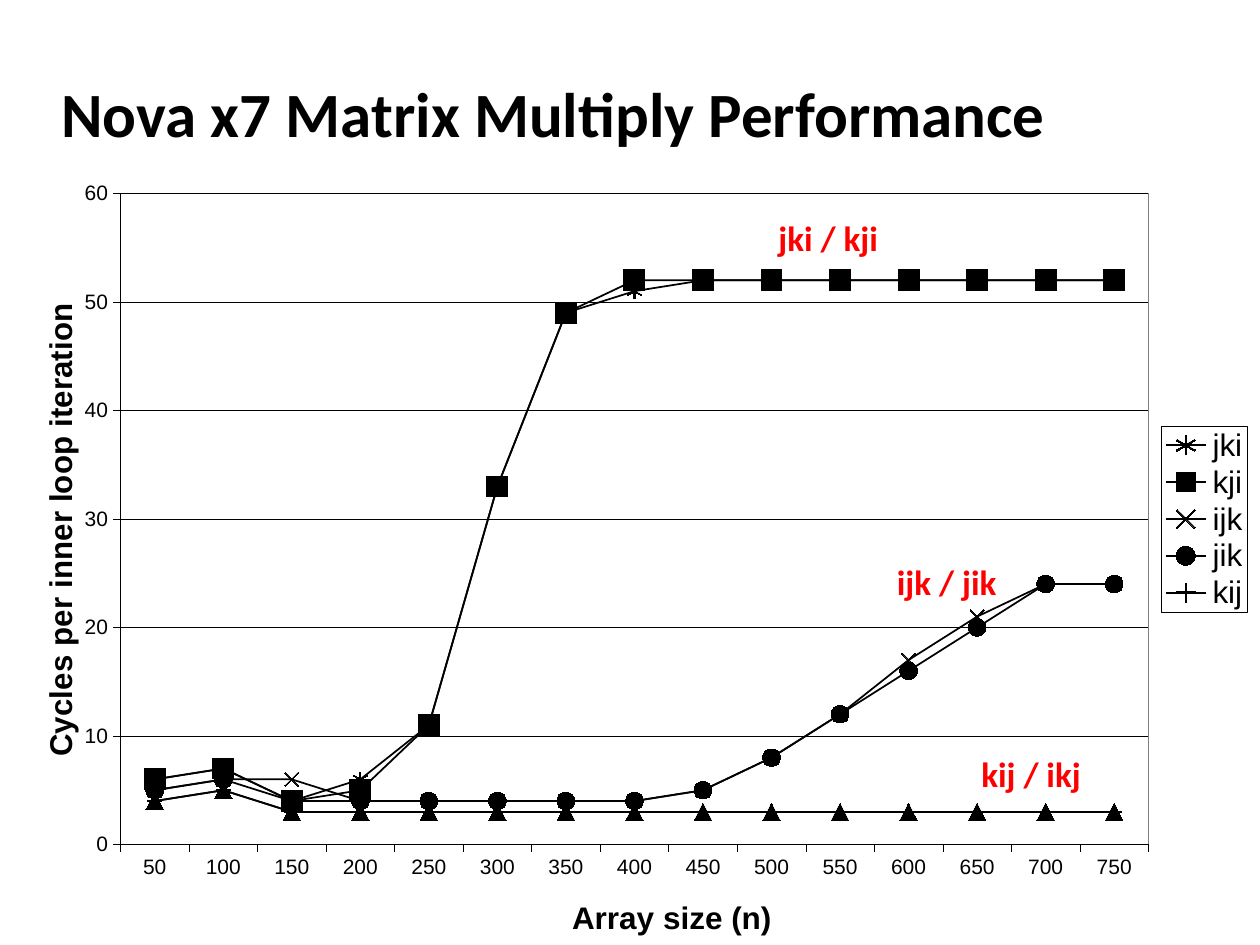
from dataclasses import dataclass

from lxml.etree import SubElement
from pptx import Presentation
from pptx.chart.data import CategoryChartData
from pptx.dml.color import RGBColor
from pptx.enum.chart import XL_CHART_TYPE as ChartType
from pptx.enum.chart import XL_LEGEND_POSITION as LegendPosition
from pptx.enum.chart import XL_MARKER_STYLE as Marker
from pptx.enum.chart import XL_TICK_MARK as TickMark
from pptx.enum.text import MSO_ANCHOR as Anchor
from pptx.enum.text import MSO_AUTO_SIZE as AutoSize
from pptx.oxml import parse_xml
from pptx.oxml.ns import nsdecls, qn
from pptx.util import Inches, Pt


@dataclass(frozen=True)
class Theme:
    ink: RGBColor = RGBColor(0, 0, 0)
    accent: RGBColor = RGBColor(0xFF, 0, 0)
    paper: str = "FFFFFF"
    frame: str = "808080"
    text_font: str = "Calibri"
    chart_font: str = "Arial"
    title_size: int = 36
    label_size: int = 20
    caption_size: int = 18
    tick_size: int = 12
    hairline: float = 0.25
    curve: float = 1


@dataclass(frozen=True)
class LoopOrder:
    name: str
    cycles: tuple[int, ...]
    marker: Marker
    marker_size: int


@dataclass(frozen=True)
class CurveLabel:
    text: str
    left: float
    top: float
    width: float


THEME = Theme()
ARRAY_SIZES = range(50, 751, 50)
ROW_WISE = (4, 5) + (3,) * 13
LOOP_ORDERS = (
    LoopOrder("jki", (6, 7, 4, 6, 11, 33, 49, 51) + (52,) * 7, Marker.STAR, 8),
    LoopOrder("kji", (6, 7, 4, 5, 11, 33, 49) + (52,) * 8, Marker.SQUARE, 12),
    LoopOrder("ijk", (5, 6, 6, 4, 4, 4, 4, 4, 5, 8, 12, 17, 21, 24, 24), Marker.X, 8),
    LoopOrder("jik", (5, 6, 4, 4, 4, 4, 4, 4, 5, 8, 12, 16, 20, 24, 24), Marker.CIRCLE, 10),
    LoopOrder("kij", ROW_WISE, Marker.PLUS, 8),
    LoopOrder("ikj", ROW_WISE, Marker.TRIANGLE, 10),
)
CURVE_LABELS = (
    CurveLabel("jki / kji", 6.08, 1.67, 1.01),
    CurveLabel("ijk / jik", 7.02, 4.4, 1),
    CurveLabel("kij / ikj", 7.69, 5.92, 1),
)


def add_text(slide, text: str, *, left: float, top: float, width: float, height: float,
             size: int, color: RGBColor, wrap: bool, anchor: Anchor = Anchor.TOP) -> None:
    box = slide.shapes.add_textbox(Inches(left), Inches(top), Inches(width), Inches(height))
    frame = box.text_frame
    frame.word_wrap = wrap
    frame.auto_size = AutoSize.NONE if wrap else AutoSize.SHAPE_TO_FIT_TEXT
    frame.vertical_anchor = anchor
    run = frame.paragraphs[0].add_run()
    run.text = text
    style_font(run.font, size, THEME.text_font, color, True)


def style_font(font, size: int, name: str = THEME.chart_font,
               color: RGBColor = THEME.ink, bold: bool = False) -> None:
    font.size = Pt(size)
    font.name = name
    font.bold = bold
    font.color.rgb = color


def style_line(line, width: float) -> None:
    line.color.rgb = THEME.ink
    line.width = Pt(width)


def place(element, index: int, x: float, y: float, **extent: float) -> None:
    for old in element.findall(qn("c:layout")):
        element.remove(old)
    layout = parse_xml(f"<c:layout {nsdecls('c')}/>")
    manual = SubElement(layout, qn("c:manualLayout"))
    if "w" in extent and element.tag == qn("c:plotArea"):
        SubElement(manual, qn("c:layoutTarget"), val="inner")
    for mode in ("xMode", "yMode"):
        SubElement(manual, qn(f"c:{mode}"), val="edge")
    for side, share in {"x": x, "y": y, **extent}.items():
        SubElement(manual, qn(f"c:{side}"), val=str(share))
    element.insert(index, layout)


def framed(color: str) -> object:
    return parse_xml(
        f"<c:spPr {nsdecls('c', 'a')}>"
        f'<a:solidFill><a:srgbClr val="{THEME.paper}"/></a:solidFill>'
        f'<a:ln w="{Pt(THEME.hairline)}"><a:solidFill><a:srgbClr val="{color}"/>'
        "</a:solidFill></a:ln></c:spPr>"
    )


def style_axis(axis, title: str, x: float, y: float) -> None:
    axis.major_tick_mark = TickMark.OUTSIDE
    axis.minor_tick_mark = TickMark.NONE
    style_font(axis.tick_labels.font, THEME.tick_size)
    style_line(axis.format.line, THEME.hairline)
    caption = axis.axis_title.text_frame.paragraphs[0].add_run()
    caption.text = title
    style_font(caption.font, THEME.caption_size, bold=True)
    place(axis.axis_title._element, 1, x, y)


def style_legend(chart) -> None:
    chart.has_legend = True
    legend = chart.legend
    legend.position = LegendPosition.RIGHT
    legend.include_in_layout = False
    style_font(legend.font, THEME.caption_size)
    element = legend._element
    hidden = parse_xml(f"<c:legendEntry {nsdecls('c')}/>")
    SubElement(hidden, qn("c:idx"), val=str(len(LOOP_ORDERS) - 1))
    SubElement(hidden, qn("c:delete"), val="1")
    element.insert(1, hidden)
    place(element, 2, 0.92, 0.34, w=0.07, h=0.24)
    element.find(qn("c:overlay")).addnext(framed(str(THEME.ink)))


def add_performance_chart(slide) -> None:
    measurements = CategoryChartData(number_format="General")
    measurements.categories = [str(n) for n in ARRAY_SIZES]
    for order in LOOP_ORDERS:
        measurements.add_series(order.name, order.cycles)
    chart = slide.shapes.add_chart(
        ChartType.LINE_MARKERS, Inches(0.17), Inches(1.29), Inches(9.83), Inches(6.21),
        measurements).chart
    chart.has_title = False
    style_font(chart.font, 10)

    style_axis(chart.category_axis, "Array size (n)", 0.44, 0.94)
    cycles_axis = chart.value_axis
    style_axis(cycles_axis, "Cycles per inner loop iteration", 0.01, 0.18)
    cycles_axis.minimum_scale, cycles_axis.maximum_scale = 0, 60
    cycles_axis.major_unit = 10
    cycles_axis.has_major_gridlines = True
    style_line(cycles_axis.major_gridlines.format.line, THEME.hairline)

    chart.plots[0].vary_by_categories = False
    for order, series in zip(LOOP_ORDERS, chart.plots[0].series):
        series.smooth = False
        style_line(series.format.line, THEME.curve)
        series.marker.style = order.marker
        series.marker.size = order.marker_size
        series.marker.format.fill.solid()
        series.marker.format.fill.fore_color.rgb = THEME.ink
        style_line(series.marker.format.line, THEME.curve)

    plot_area = chart._chartSpace.chart.plotArea
    place(plot_area, 0, 0.08, 0.04, w=0.83, h=0.84)
    plot_area.append(framed(THEME.frame))
    style_legend(chart)


def main() -> None:
    deck = Presentation()
    deck.slide_width, deck.slide_height = Inches(10), Inches(7.5)
    slide = deck.slides.add_slide(deck.slide_layouts[6])
    add_text(slide, "Nova x7 Matrix Multiply Performance", left=0.39, top=0.48, width=8.3,
             height=0.83, size=THEME.title_size, color=THEME.ink, wrap=True,
             anchor=Anchor.MIDDLE)
    add_performance_chart(slide)
    for label in CURVE_LABELS:
        add_text(slide, label.text, left=label.left, top=label.top, width=label.width,
                 height=0.44, size=THEME.label_size, color=THEME.accent, wrap=False)
    deck.save("out.pptx")


if __name__ == "__main__":
    main()
